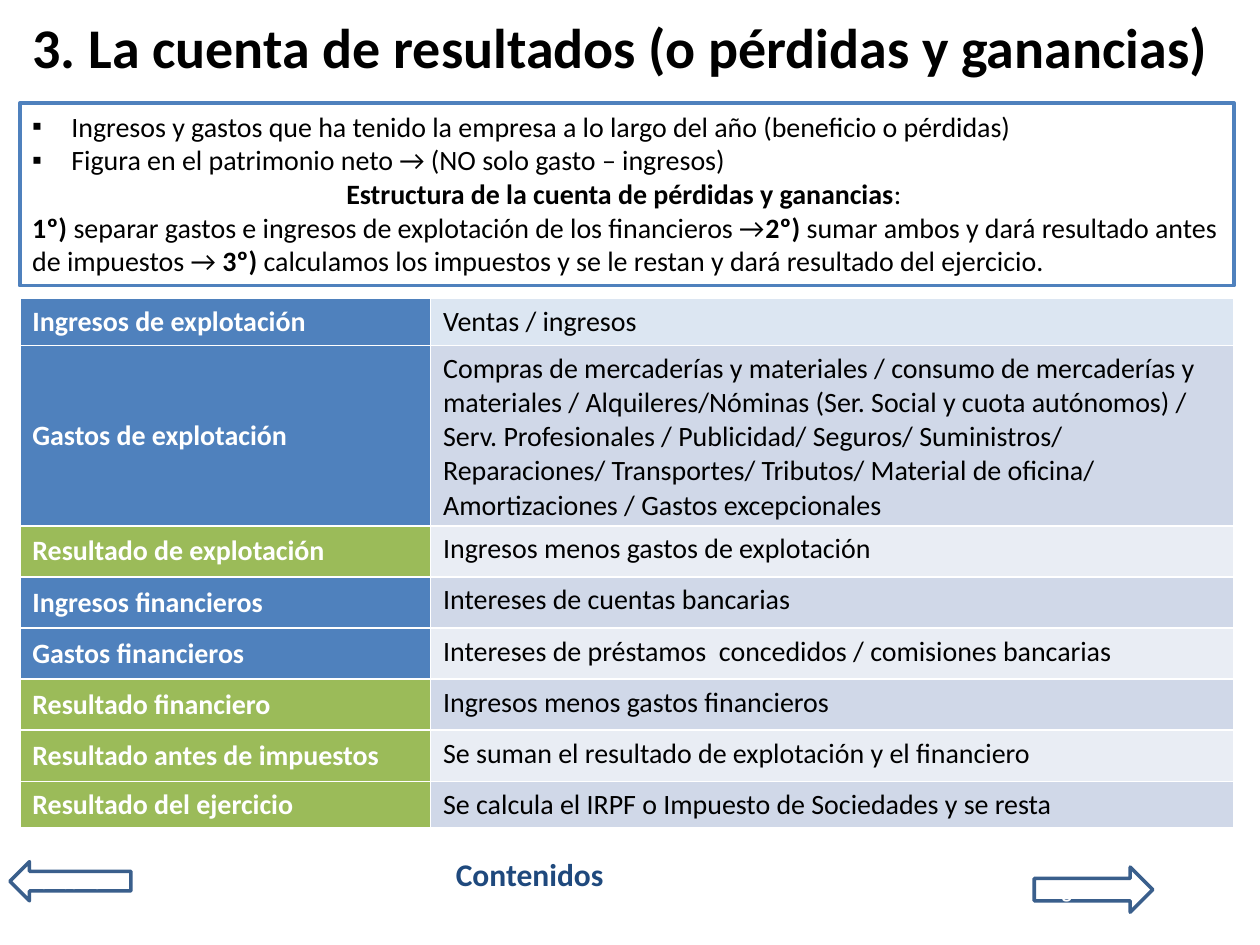
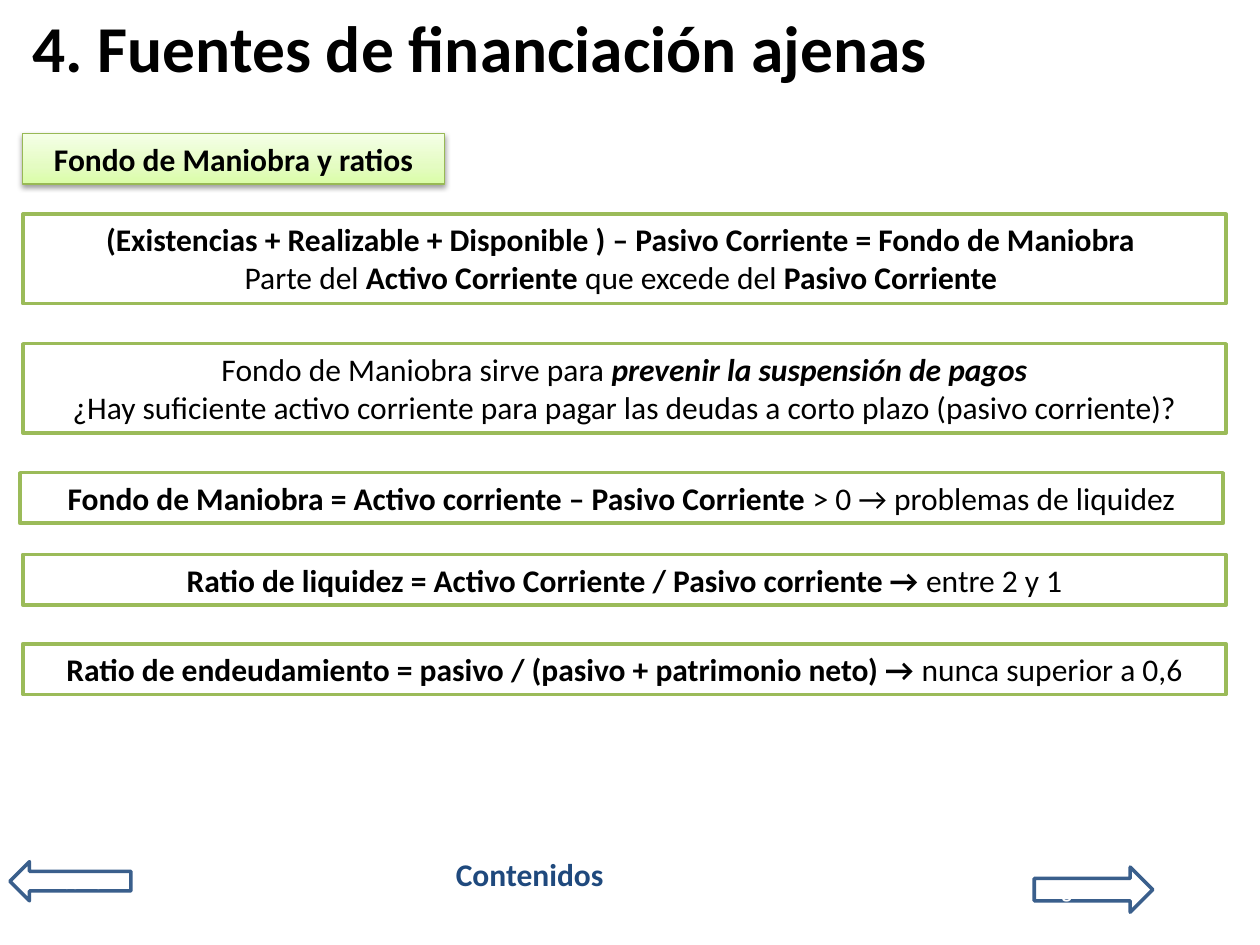
from copy import deepcopy

from lxml.etree import SubElement
from pptx import Presentation
from pptx.dml.color import RGBColor
from pptx.enum.shapes import MSO_SHAPE as SHAPE
from pptx.enum.text import MSO_ANCHOR as ANCHOR, MSO_AUTO_SIZE as AUTO, PP_ALIGN as ALIGN
from pptx.oxml.ns import qn
from pptx.util import Cm, Pt

FONT = "Calibri"
BLACK, WHITE = "000000", "FFFFFF"
BLUE, GREEN = "4F81BD", "9BBB59"
NAVY, ARROW_BLUE = "1F497D", "3A5F8C"
HEADER_TINT, BAND_DARK, BAND_LIGHT = "DCE6F2", "D0D8E8", "E9EDF4"
TAG_STOPS = [(0, "DAFDA7"), (0.35, "E4FCC2"), (1, "F5FFE7")]

INTRO = [
    ["Ingresos y gastos que ha tenido la empresa a lo largo del año (beneficio o pérdidas)"],
    ["Figura en el patrimonio neto → (NO solo gasto – ingresos)"],
    [("Estructura de la cuenta de pérdidas y ganancias", "b"), ": "],
    [("1º) ", "b"), "separar gastos e ingresos de explotación de los financieros →",
     ("2º)", "b"), " sumar ambos y dará resultado antes de impuestos → ",
     ("3º)", "b"), " calculamos los impuestos y se le restan y dará resultado del ejercicio."],
]

# label, explanation, label colour, row height in cm
ACCOUNT_ROWS = [
    ("Ingresos de explotación", "Ventas / ingresos", BLUE, 0.94),
    ("Gastos de explotación",
     "Compras de mercaderías y materiales / consumo de mercaderías y materiales / "
     "Alquileres/Nóminas (Ser. Social y cuota autónomos) / Serv. Profesionales / "
     "Publicidad/ Seguros/ Suministros/ Reparaciones/ Transportes/ Tributos/ "
     "Material de oficina/ Amortizaciones / Gastos excepcionales", BLUE, 3.63),
    ("Resultado de explotación", "Ingresos menos gastos de explotación", GREEN, 1.03),
    ("Ingresos financieros", "Intereses de cuentas bancarias", BLUE, 1.03),
    ("Gastos financieros", "Intereses de préstamos  concedidos / comisiones bancarias",
     BLUE, 1.03),
    ("Resultado financiero", "Ingresos menos gastos financieros", GREEN, 1.03),
    ("Resultado antes de impuestos", "Se suman el resultado de explotación y el financiero",
     GREEN, 1.03),
    ("Resultado del ejercicio", "Se calcula el IRPF o Impuesto de Sociedades y se resta",
     GREEN, 0.93),
]

# left and top in cm, paragraphs
RATIO_BOXES = [
    (0.46, 4.32, [
        [("(Existencias + Realizable + Disponible ) – Pasivo Corriente = Fondo de Maniobra ", "b")],
        ["Parte del ", ("Activo Corriente ", "b"), "que excede del ", ("Pasivo Corriente ", "b")]]),
    (0.46, 6.93, [
        ["Fondo de Maniobra sirve para ", ("prevenir la suspensión de pagos", "bi")],
        ["¿Hay suficiente activo corriente para pagar las deudas a corto plazo "
         "(pasivo corriente)?"]]),
    (0.4, 9.53, [
        [("Fondo de Maniobra = Activo corriente – Pasivo Corriente ", "b"),
         "> 0 → problemas de liquidez"]]),
    (0.46, 11.18, [
        [("Ratio de liquidez = Activo Corriente / Pasivo corriente → ", "b"), "entre 2 y 1"]]),
    (0.46, 12.98, [
        [("Ratio de endeudamiento = pasivo / (pasivo + patrimonio neto) → ", "b"),
         "nunca superior a 0,6"]]),
]


def rgb(color):
    return RGBColor.from_string(color)


def write(tf, paragraphs, size=18, color=BLACK, align=ALIGN.LEFT, style=""):
    """Fill a frame; a run is a string, or a (string, style) pair with b and i."""
    if isinstance(paragraphs, str):
        paragraphs = [[paragraphs]]
    for i, runs in enumerate(paragraphs):
        p = tf.paragraphs[0] if i == 0 else tf.add_paragraph()
        p.alignment = align
        for run in runs:
            text, marks = (run, style) if isinstance(run, str) else run
            r = p.add_run()
            r.text = text
            r.font.name, r.font.size = FONT, Pt(size)
            r.font.color.rgb = rgb(color)
            r.font.bold, r.font.italic = "b" in marks, "i" in marks


def add_bullet(p):
    pPr = p._p.get_or_add_pPr()
    pPr.set("marL", str(Cm(0.79)))
    pPr.set("indent", str(-Cm(0.79)))
    SubElement(pPr, qn("a:buFont"), typeface="Arial")
    SubElement(pPr, qn("a:buChar"), char="▪")


def add_title(slide, text, width, size):
    sp = slide.shapes.title
    sp.left, sp.top, sp.width, sp.height = Cm(0.4), Cm(0.13), Cm(width), Cm(1.6)
    tf = sp.text_frame
    tf.auto_size, tf.vertical_anchor = AUTO.NONE, ANCHOR.MIDDLE
    write(tf, text, size=size, style="b")


def add_outlined(slide, kind, box, line, width=2, fill=None):
    sp = slide.shapes.add_shape(kind, *map(Cm, box))
    sp.shadow.inherit = False
    sp.line.color.rgb, sp.line.width = rgb(line), Pt(width)
    if fill:
        sp.fill.solid()
        sp.fill.fore_color.rgb = rgb(fill)
    else:
        sp.fill.background()
    return sp


def add_text_box(slide, box, paragraphs, line, width=2, **fmt):
    sp = add_outlined(slide, SHAPE.RECTANGLE, box, line, width, WHITE)
    tf = sp.text_frame
    tf.word_wrap, tf.vertical_anchor = True, ANCHOR.TOP
    tf.auto_size = AUTO.SHAPE_TO_FIT_TEXT
    write(tf, paragraphs, **fmt)
    return sp


def add_arrow(slide, kind, box, text):
    sp = add_outlined(slide, kind, box, ARROW_BLUE)
    sp.text_frame.vertical_anchor = ANCHOR.MIDDLE
    write(sp.text_frame, text, size=12, color=WHITE, align=ALIGN.CENTER, style="b")


def add_navigation(slide, previous):
    add_arrow(slide, SHAPE.LEFT_ARROW, (0.2, 17.37, 2.44, 0.79), previous)
    add_arrow(slide, SHAPE.RIGHT_ARROW, (20.85, 17.48, 2.39, 0.91), "siguiente")
    sp = slide.shapes.add_textbox(Cm(8.94), Cm(17.12), Cm(3.66), Cm(1.02))
    sp.text_frame.word_wrap = True
    write(sp.text_frame, "Contenidos", color=NAVY, style="b")


def add_account_table(slide):
    height = sum(row[3] for row in ACCOUNT_ROWS)
    table = slide.shapes.add_table(len(ACCOUNT_ROWS), 2, Cm(0.4), Cm(6.02),
                                   Cm(24.48), Cm(height)).table
    table.columns[0].width, table.columns[1].width = Cm(8.28), Cm(16.2)
    for i, (label, detail, color, row_height) in enumerate(ACCOUNT_ROWS):
        table.rows[i].height = Cm(row_height)
        band = HEADER_TINT if i == 0 else BAND_DARK if i % 2 else BAND_LIGHT
        for cell, fill in zip(table.rows[i].cells, (color, band)):
            cell.fill.solid()
            cell.fill.fore_color.rgb = rgb(fill)
        name, meaning = table.rows[i].cells
        name.vertical_anchor = ANCHOR.MIDDLE
        write(name.text_frame, label, size=16, color=WHITE, style="b")
        write(meaning.text_frame, detail, size=16)


def add_tag(slide, box, text):
    """Heading box with a green gradient and a soft shadow."""
    sp = add_text_box(slide, box, text, "98B955", 0.75, align=ALIGN.CENTER, style="b")
    sp.fill.gradient()
    sp.fill.gradient_angle = 90
    first = next(sp._element.spPr.iter(qn("a:gs")))
    first.addnext(deepcopy(first))
    for stop, (position, color) in zip(sp.fill.gradient_stops, TAG_STOPS):
        stop.position, stop.color.rgb = position, rgb(color)
    effects = sp._element.spPr.find(qn("a:effectLst"))
    shadow = SubElement(effects, qn("a:outerShdw"), blurRad=str(Pt(3.1)), dist=str(Pt(1.6)),
                        dir="5400000", rotWithShape="0")
    black = SubElement(shadow, qn("a:srgbClr"), val=BLACK)
    SubElement(black, qn("a:alpha"), val="38000")


def build_income_slide(slide):
    add_title(slide, "3. La cuenta de resultados (o pérdidas y ganancias)", 25, 32)
    sp = add_text_box(slide, (0.4, 2.08, 24.48, 3.68), INTRO, BLUE, size=16)
    paragraphs = sp.text_frame.paragraphs
    for p in paragraphs[:2]:
        add_bullet(p)
    paragraphs[2].alignment = ALIGN.CENTER
    add_navigation(slide, "anterior")
    add_account_table(slide)


def build_ratios_slide(slide):
    add_title(slide, "4. Fuentes de financiación ajenas", 23.93, 37.4)
    add_navigation(slide, "Anterior")
    add_tag(slide, (0.46, 2.69, 8.5, 1.02), "Fondo de Maniobra y ratios")
    for left, top, paragraphs in RATIO_BOXES:
        height = 1.8 if len(paragraphs) == 2 else 1.02
        add_text_box(slide, (left, top, 24.26, height), paragraphs, GREEN, align=ALIGN.CENTER)


def main():
    prs = Presentation()
    prs.slide_width, prs.slide_height = Cm(25.4), Cm(19.05)
    title_only = prs.slide_layouts[5]
    for build in (build_income_slide, build_ratios_slide):
        build(prs.slides.add_slide(title_only))
    prs.save("out.pptx")


if __name__ == "__main__":
    main()
